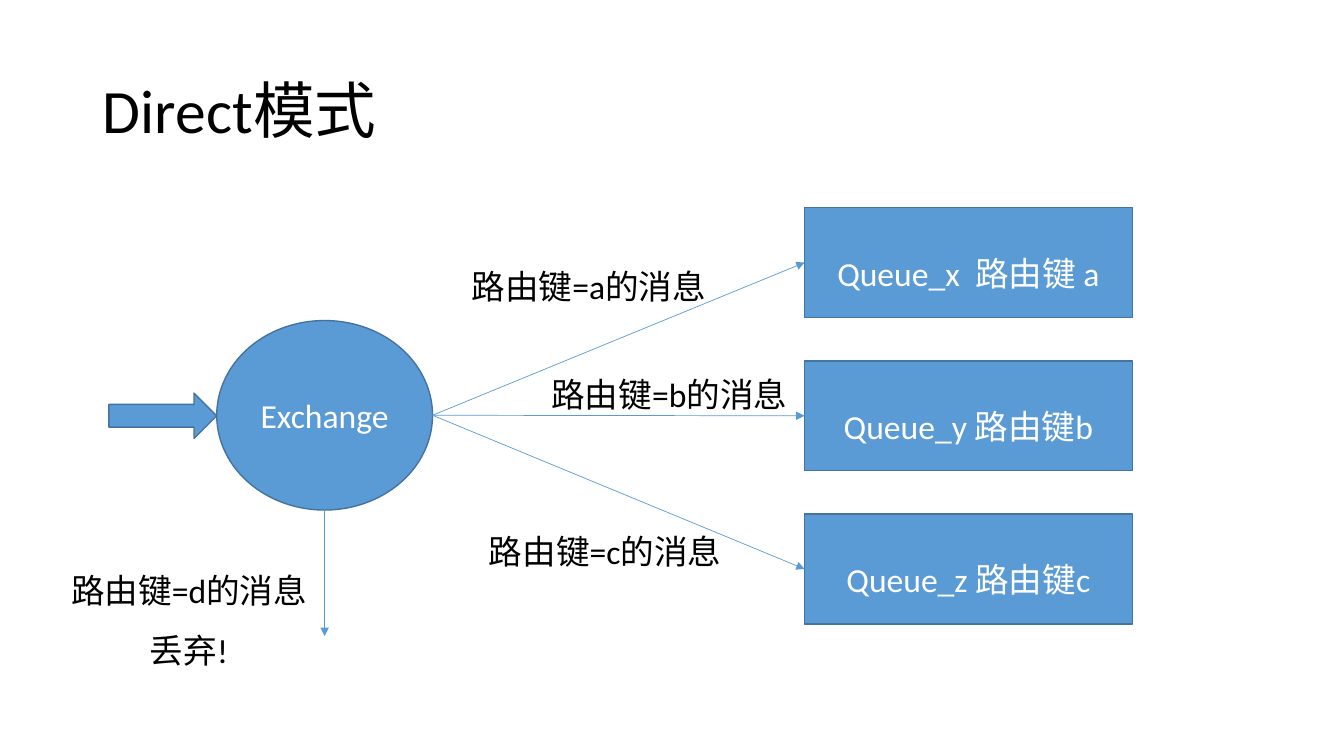
from collections import namedtuple
from dataclasses import dataclass

from lxml.etree import SubElement
from pptx import Presentation
from pptx.dml.color import RGBColor
from pptx.enum.shapes import MSO_CONNECTOR, MSO_SHAPE
from pptx.enum.text import MSO_ANCHOR, MSO_AUTO_SIZE, PP_ALIGN
from pptx.oxml.ns import qn
from pptx.util import Emu, Pt

Box = namedtuple("Box", "x y w h")


@dataclass(frozen=True)
class Theme:
    font: str = "Calibri"
    title_size: int = 44
    body_size: int = 24
    ink: str = "000000"
    paper: str = "FFFFFF"
    accent: str = "5B9BD5"
    outline: str = "43739E"
    outline_width: float = 1
    arrow_width: float = 0.5


THEME = Theme()


def px(length):
    return Emu(int(length * 9144))


def place(box):
    return [px(length) for length in box]


def write(frame, lines, size, color, align, spacing=1.0):
    frame.word_wrap = True
    for index, line in enumerate(lines):
        paragraph = frame.add_paragraph() if index else frame.paragraphs[0]
        paragraph.alignment = align
        paragraph.line_spacing = spacing
        run = paragraph.add_run()
        run.text = line
        run.font.name = THEME.font
        run.font.size = Pt(size)
        run.font.color.rgb = RGBColor.from_string(color)


def add_block(slide, kind, box, caption=None, spacing=1.0):
    block = slide.shapes.add_shape(kind, *place(box))
    block.shadow.inherit = False
    block.fill.solid()
    block.fill.fore_color.rgb = RGBColor.from_string(THEME.accent)
    block.line.color.rgb = RGBColor.from_string(THEME.outline)
    block.line.width = Pt(THEME.outline_width)
    if caption:
        block.text_frame.vertical_anchor = MSO_ANCHOR.MIDDLE
        write(block.text_frame, [caption], THEME.body_size, THEME.paper,
              PP_ALIGN.CENTER, spacing)
    return block


def add_arrow(slide, start, end, target=None):
    arrow = slide.shapes.add_connector(
        MSO_CONNECTOR.STRAIGHT, *place(start + end))
    arrow.line.color.rgb = RGBColor.from_string(THEME.accent)
    arrow.line.width = Pt(THEME.arrow_width)
    SubElement(arrow.line._get_or_add_ln(), qn("a:tailEnd"), type="triangle")
    SubElement(arrow._element.spPr, qn("a:effectLst"))
    if target is not None:
        arrow.end_connect(target, 1)


def add_label(slide, box, lines, align=PP_ALIGN.LEFT, spacing=1.0):
    label = slide.shapes.add_textbox(*place(box))
    write(label.text_frame, lines, THEME.body_size, THEME.ink, align, spacing)
    label.text_frame.auto_size = MSO_AUTO_SIZE.SHAPE_TO_FIT_TEXT


def add_title(slide, box, heading):
    title = slide.shapes.title
    title.left, title.top, title.width, title.height = place(box)
    frame = title.text_frame
    frame.auto_size = MSO_AUTO_SIZE.NONE
    frame.vertical_anchor = MSO_ANCHOR.MIDDLE
    write(frame, [heading], THEME.title_size, THEME.ink, PP_ALIGN.LEFT, 0.9)


def add_exchange(slide, box):
    inlet_w, inlet_h = 107, 45
    middle = box.y + box.h // 2
    add_block(slide, MSO_SHAPE.OVAL, box, "Exchange")
    add_block(slide, MSO_SHAPE.RIGHT_ARROW,
              Box(box.x - inlet_w, middle - inlet_h // 2, inlet_w, inlet_h))
    return box.x + box.w, middle


def add_queues(slide, box, captions, outlet):
    height = 109
    pitch = (box.h - height) / (len(captions) - 1)
    for index, caption in enumerate(captions):
        top = box.y + index * pitch
        queue = add_block(slide, MSO_SHAPE.RECTANGLE,
                          Box(box.x, top, box.w, height), caption, 1.5)
        add_arrow(slide, outlet, (box.x, top + height / 2), queue)


def add_routes(slide, box):
    for key, dx, dy in (("a", 0, 0), ("b", 79, 107), ("c", 17, 263)):
        add_label(slide, Box(box.x + dx, box.y + dy, box.w, box.h),
                  [f"路由键={key}的消息"])


def add_discard(slide, box):
    exit_x = box.x + box.w + 6
    add_arrow(slide, (exit_x, box.y - 34), (exit_x, box.y + 91))
    add_label(slide, box, ["路由键=d的消息", "丢弃!"], PP_ALIGN.CENTER, 1.5)


def build_direct_slide(deck):
    slide = deck.slides.add_slide(deck.slide_layouts[5])
    slide.background.fill.solid()
    slide.background.fill.fore_color.rgb = RGBColor.from_string(THEME.paper)
    add_title(slide, Box(92, 40, 1150, 145), "Direct模式")
    outlet = add_exchange(slide, Box(215, 318, 214, 188))
    add_queues(slide, Box(798, 206, 325, 413),
               ["Queue_x  路由键 a", "Queue_y 路由键b", "Queue_z 路由键c"],
               outlet)
    add_routes(slide, Box(458, 259, 256, 50))
    add_discard(slide, Box(59, 540, 257, 131))


def main():
    deck = Presentation()
    deck.slide_width, deck.slide_height = px(1333), px(750)
    build_direct_slide(deck)
    deck.save("out.pptx")


if __name__ == "__main__":
    main()
